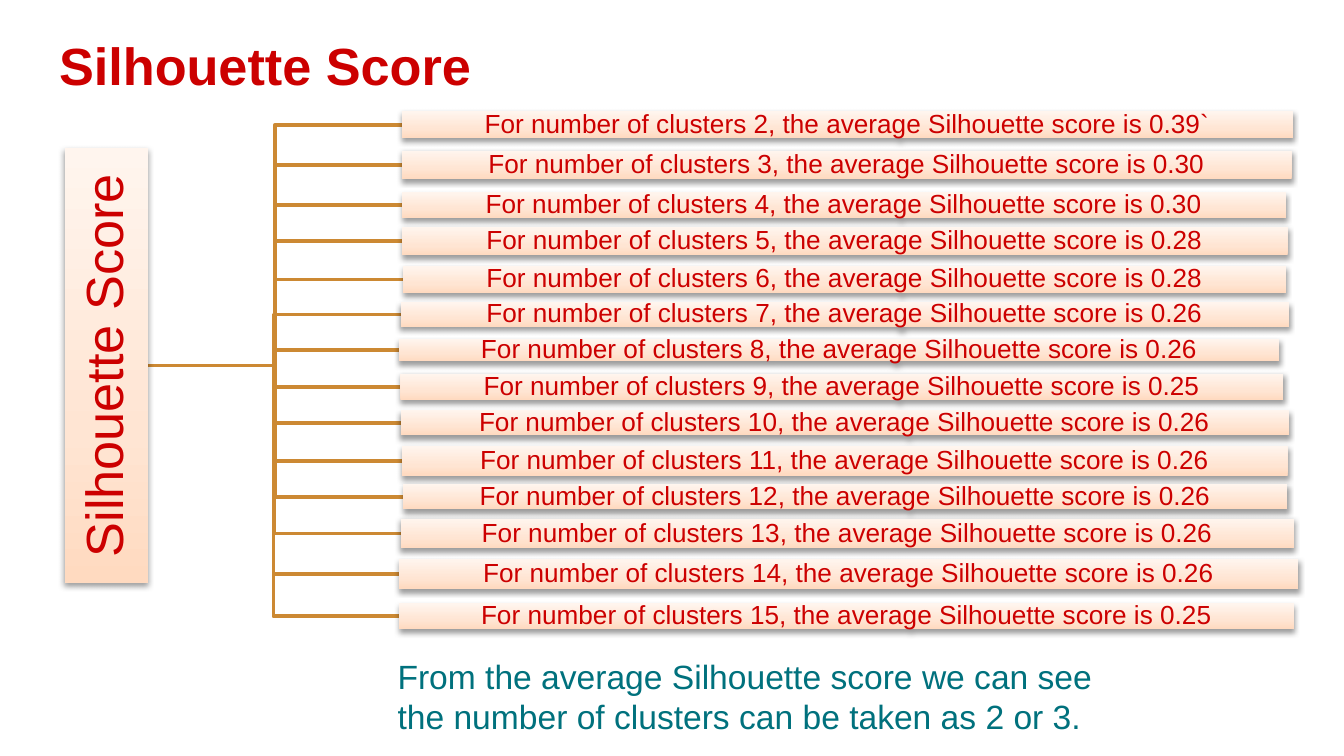
from dataclasses import dataclass

from pptx import Presentation
from pptx.dml.color import RGBColor
from pptx.enum import shapes, text
from pptx.oxml import parse_xml
from pptx.oxml.ns import nsdecls
from pptx.util import Inches, Pt


@dataclass(frozen=True)
class Theme:
    font: str = "Arial"
    red: str = "CC0000"
    teal: str = "00717D"
    line: str = "CC8933"
    gradient: tuple = ((0, "FFDAC0"), (35, "FFE5D3"), (100, "FFF5EE"))
    heading: int = 28
    caption: int = 18
    label: int = 14


@dataclass(frozen=True)
class Card:
    text: str
    left: float
    top: float
    width: float
    height: float
    size: int = Theme.label
    inset: float = 0.01
    rotation: int = 0

    @property
    def middle(self) -> float:
        return self.top + self.height / 2


THEME = Theme()
ROOT = Card("Silhouette Score", -0.83, 2.41, 3.24, 0.62, THEME.heading, 0.02, 270)
ROOT_RIGHT = 1.1

# score, left, top, width, height for 2 clusters upwards
SCORES = [
    ("0.39`", 2.99, 0.83, 6.63, 0.2),
    ("0.30", 2.99, 1.12, 6.62, 0.21),
    ("0.30", 2.99, 1.43, 6.58, 0.19),
    ("0.28", 2.99, 1.69, 6.59, 0.21),
    ("0.28", 3, 1.98, 6.57, 0.2),
    ("0.26", 2.98, 2.25, 6.61, 0.18),
    ("0.26", 2.97, 2.52, 6.55, 0.17),
    ("0.25", 2.98, 2.78, 6.57, 0.2),
    ("0.26", 2.98, 3.05, 6.61, 0.19),
    ("0.26", 2.99, 3.32, 6.59, 0.22),
    ("0.26", 3, 3.6, 6.58, 0.19),
    ("0.26", 2.98, 3.86, 6.65, 0.22),
    ("0.26", 2.97, 4.16, 6.69, 0.22),
    ("0.25", 2.97, 4.49, 6.66, 0.19),
]
CARDS = [
    Card(f"For number of clusters {n}, the average Silhouette score is {score}", *box)
    for n, (score, *box) in enumerate(SCORES, start=2)
]


def write(tf, words: str, size: int, color: str, bold: bool = False):
    tf.text = words
    tf.word_wrap = True
    p = tf.paragraphs[0]
    font = p.runs[0].font
    font.name, font.size, font.bold = THEME.font, Pt(size), bold
    font.color.rgb = RGBColor.from_string(color)
    return p


def set_insets(tf, inset: float) -> None:
    tf.margin_left = tf.margin_right = tf.margin_top = tf.margin_bottom = Inches(inset)


def add_gradient_and_shadow(sp, rotation: int) -> None:
    """Fill a card lighter towards the top of the slide and add a soft shadow below."""
    stops = "".join(
        f'<a:gs pos="{pos * 1000}"><a:srgbClr val="{color}"/></a:gs>'
        for pos, color in THEME.gradient
    )
    angle = (270 - rotation) * 60000
    fill = parse_xml(
        f'<a:gradFill {nsdecls("a")} rotWithShape="1"><a:gsLst>{stops}</a:gsLst>'
        f'<a:lin ang="{angle}" scaled="0"/></a:gradFill>'
    )
    shadow = parse_xml(
        f'<a:outerShdw {nsdecls("a")} blurRad="{Pt(3.1)}" dist="{Pt(1.6)}" dir="5400000" '
        'rotWithShape="0"><a:srgbClr val="000000"><a:alpha val="38000"/></a:srgbClr></a:outerShdw>'
    )
    sp.line.fill.background()
    sp.shadow.inherit = False
    props = sp._element.spPr
    props.insert(2, fill)
    props.find("{*}effectLst").append(shadow)


def add_card(s, card: Card) -> None:
    box = map(Inches, (card.left, card.top, card.width, card.height))
    sp = s.shapes.add_shape(shapes.MSO_SHAPE.RECTANGLE, *box)
    sp.rotation = card.rotation
    add_gradient_and_shadow(sp, card.rotation)
    tf = sp.text_frame
    set_insets(tf, card.inset)
    tf.vertical_anchor = text.MSO_ANCHOR.MIDDLE
    p = write(tf, card.text, card.size, THEME.red)
    p.alignment = text.PP_ALIGN.CENTER
    p.line_spacing = 0.9


def add_branch(s, card: Card) -> None:
    """Draw the elbow from the root to a card, bending halfway."""
    bend = (ROOT_RIGHT + card.left) / 2
    builder = s.shapes.build_freeform(Inches(ROOT_RIGHT), Inches(ROOT.middle))
    corners = [(bend, ROOT.middle), (bend, card.middle), (card.left, card.middle)]
    builder.add_line_segments([(Inches(x), Inches(y)) for x, y in corners], close=False)
    sp = builder.convert_to_shape()
    sp.fill.background()
    sp.line.color.rgb = RGBColor.from_string(THEME.line)
    sp.line.width = Pt(2)
    sp.shadow.inherit = False


def add_title(s) -> None:
    title = s.shapes.title
    title.left, title.top = Inches(0.34), Inches(0.15)
    title.width, title.height = Inches(9.32), Inches(0.63)
    tf = title.text_frame
    set_insets(tf, 0.1)
    tf.vertical_anchor = text.MSO_ANCHOR.TOP
    p = write(tf, "Silhouette Score", THEME.heading, THEME.red, bold=True)
    p.alignment = text.PP_ALIGN.LEFT


def add_caption(s) -> None:
    sp = s.shapes.add_textbox(Inches(2.86), Inches(4.83), Inches(5.53), Inches(0.71))
    words = (
        "From the average Silhouette score we can see "
        "the number of clusters can be taken as 2 or 3."
    )
    write(sp.text_frame, words, THEME.caption, THEME.teal)


def main() -> None:
    prs = Presentation()
    prs.slide_width = Inches(10)
    prs.slide_height = prs.slide_width * 9 // 16
    s = prs.slides.add_slide(prs.slide_layouts[5])
    add_title(s)
    for card in CARDS:
        add_branch(s, card)
    for card in [ROOT, *CARDS]:
        add_card(s, card)
    add_caption(s)
    prs.save("out.pptx")


if __name__ == "__main__":
    main()
